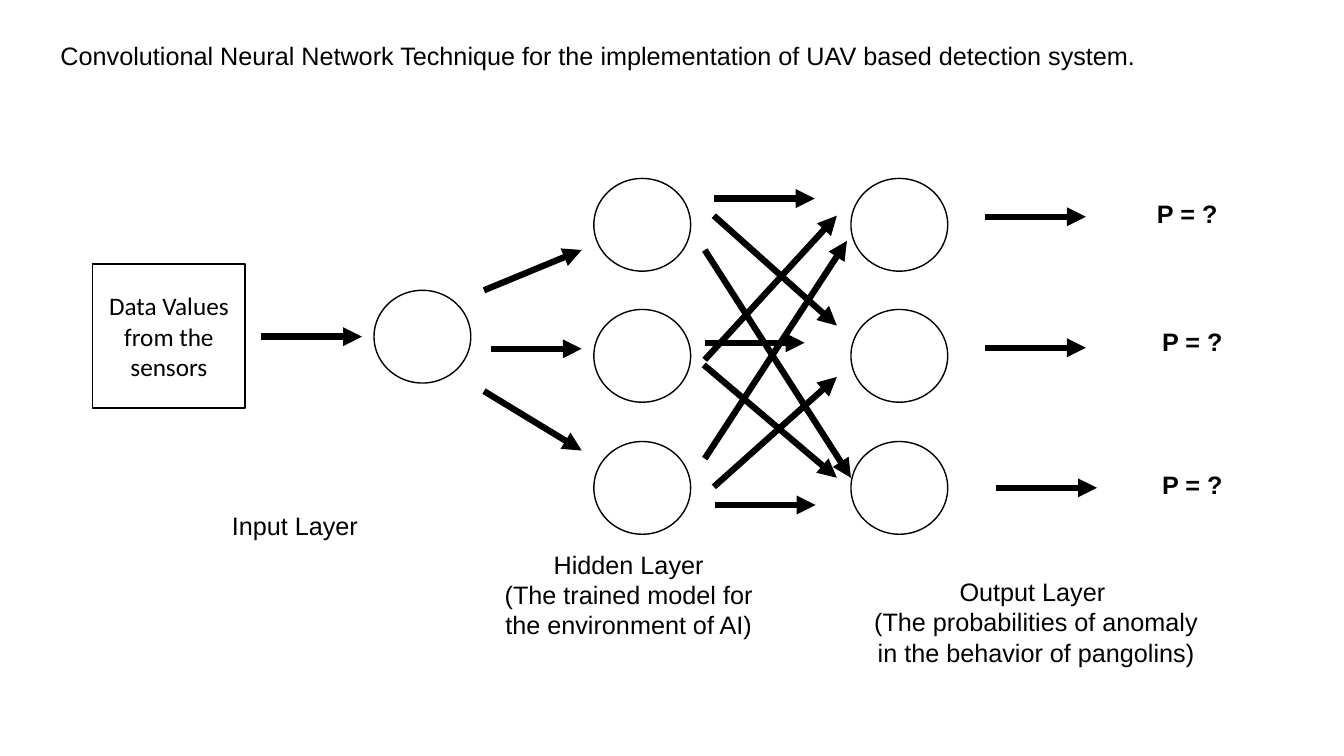
from lxml.etree import SubElement
from pptx import Presentation
from pptx.dml.color import RGBColor
from pptx.enum.shapes import MSO_CONNECTOR, MSO_SHAPE
from pptx.enum.text import MSO_ANCHOR, MSO_AUTO_SIZE, PP_ALIGN
from pptx.oxml.ns import qn
from pptx.util import Inches, Pt

BLACK, WHITE = "000000", "FFFFFF"


def paint(color_format, color):
    color_format.rgb = RGBColor.from_string(color)


def write(shape, text, align=PP_ALIGN.CENTER, anchor=MSO_ANCHOR.TOP, font="Arial", bold=False):
    frame = shape.text_frame
    frame.text = text
    frame.word_wrap = True
    frame.auto_size = MSO_AUTO_SIZE.NONE
    frame.vertical_anchor = anchor
    for paragraph in frame.paragraphs:
        paragraph.alignment = align
        paragraph.line_spacing = 1.0
        paragraph.space_before = Pt(0)
        paragraph.font.name = font
        paragraph.font.size = Pt(18)
        paragraph.font.bold = bold
        paint(paragraph.font.color, BLACK)


presentation = Presentation()
presentation.slide_width = Inches(13.33)
presentation.slide_height = Inches(7.5)
slide = presentation.slides.add_slide(presentation.slide_layouts[5])

# Title
title = slide.shapes.title
title.left, title.top = Inches(0.5), Inches(0.35)
title.width, title.height = Inches(12.33), Inches(0.4)
write(title, "Convolutional Neural Network Technique for the implementation "
             "of UAV based detection system.", align=PP_ALIGN.LEFT)

# Sensor box and neurons: one input, three hidden, three output
layer_rows = [1.77, 3.07, 4.38]
neurons = [(3.71, 2.88)] + [(left, top) for left in (5.89, 8.44) for top in layer_rows]
outlines = [(MSO_SHAPE.RECTANGLE, 0.92, 2.62, 1.51, 1.43)]
outlines += [(MSO_SHAPE.OVAL, left, top, 0.96, 0.92) for left, top in neurons]
for kind, *box in outlines:
    shape = slide.shapes.add_shape(kind, *map(Inches, box))
    shape.shadow.inherit = False
    shape.fill.solid()
    paint(shape.fill.fore_color, WHITE)
    paint(shape.line.color, BLACK)
    shape.line.width = Pt(1)
    if kind == MSO_SHAPE.RECTANGLE:
        write(shape, "Data Values from the sensors", anchor=MSO_ANCHOR.MIDDLE, font="Calibri")

# Arrows between the layers
arrows = [
    # sensors to input
    (2.59, 3.34, 3.59, 3.34),
    # input to hidden
    (4.8, 2.88, 5.77, 2.48), (4.87, 3.46, 5.77, 3.46), (4.8, 3.88, 5.77, 4.47),
    # hidden to output, straight across
    (7.08, 1.97, 8.08, 1.97), (6.99, 3.4, 7.98, 3.4), (7.09, 5.01, 8.09, 5.01),
    # hidden to output, crossing
    (7.08, 2.14, 8.3, 3.23), (6.99, 2.48, 8.44, 4.74), (6.99, 3.57, 8.3, 2.14),
    (6.98, 3.62, 8.3, 4.74), (7.08, 4.83, 8.3, 3.74), (6.99, 4.55, 8.4, 2.39),
    # output to probabilities
    (9.77, 2.15, 10.77, 2.15), (9.77, 3.45, 10.77, 3.45), (9.88, 4.84, 10.88, 4.84),
]
for ends in arrows:
    arrow = slide.shapes.add_connector(MSO_CONNECTOR.STRAIGHT, *map(Inches, ends))
    paint(arrow.line.color, BLACK)
    arrow.line.width = Pt(4.5)
    properties = arrow.element.spPr
    SubElement(properties.find(qn("a:ln")), qn("a:tailEnd"), type="triangle")
    SubElement(properties, qn("a:effectLst"))

# Layer captions and output probabilities
labels = [
    (1.17, 5.01, 0.4, "Input Layer", False),
    (4.48, 5.4, 1.01, "Hidden Layer\n(The trained model for\nthe environment of AI)", False),
    (8.52, 5.67, 1.01,
     "Output Layer \n(The probabilities of anomaly\vin the behavior of pangolins)", False),
    (10.02, 1.92, 0.4, "P = ?", True),
    (10.07, 3.19, 0.4, "P = ?", True),
    (10.07, 4.61, 0.4, "P = ?", True),
]
for left, top, height, text, bold in labels:
    label = slide.shapes.add_textbox(Inches(left), Inches(top), Inches(3.51), Inches(height))
    write(label, text, bold=bold)

presentation.save("out.pptx")
